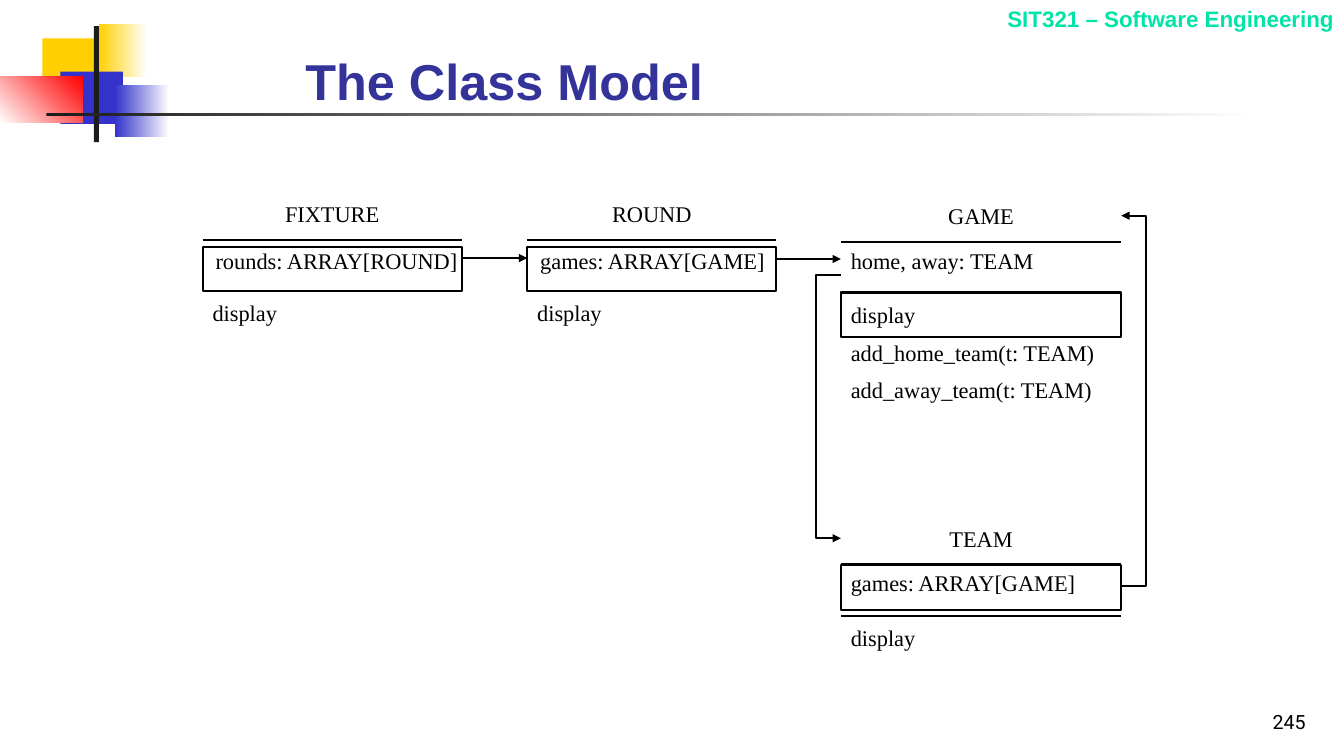
from lxml import etree
from pptx import Presentation
from pptx.dml.color import RGBColor
from pptx.enum.shapes import MSO_CONNECTOR, MSO_SHAPE
from pptx.enum.text import MSO_ANCHOR, MSO_AUTO_SIZE, PP_ALIGN
from pptx.oxml.ns import qn
from pptx.util import Inches, Pt

RECT, STRAIGHT = MSO_SHAPE.RECTANGLE, MSO_CONNECTOR.STRAIGHT
LEFT, CENTER, RIGHT = PP_ALIGN.LEFT, PP_ALIGN.CENTER, PP_ALIGN.RIGHT
TOP, BOTTOM = MSO_ANCHOR.TOP, MSO_ANCHOR.BOTTOM
BLACK = RGBColor(0x00, 0x00, 0x00)
WHITE = RGBColor(0xFF, 0xFF, 0xFF)
YELLOW = RGBColor(0xFF, 0xCF, 0x01)
BLUE = RGBColor(0x33, 0x33, 0xCC)
RED = RGBColor(0xFF, 0x00, 0x00)
DARK = RGBColor(0x1C, 0x1C, 0x1C)
NAVY = RGBColor(0x33, 0x33, 0x99)
GREEN = RGBColor(0x00, 0xE4, 0xA8)

prs = Presentation()
prs.slide_width, prs.slide_height = Inches(13.33), Inches(7.5)
s = prs.slides.add_slide(prs.slide_layouts[5])


def write(sp, text, align=LEFT, anchor=TOP, **font):
    tf = sp.text_frame
    tf.word_wrap, tf.auto_size, tf.vertical_anchor = True, MSO_AUTO_SIZE.NONE, anchor
    p = tf.paragraphs[0]
    p.alignment = align
    r = p.add_run()
    r.text = text
    style = {"name": "Times New Roman", "size": Pt(16), "color": BLACK} | font
    r.font.color.rgb = style.pop("color")
    for key, value in style.items():
        setattr(r.font, key, value)


def outline(sp, arrow=False):
    """Give a shape or line the black diagram stroke, with an optional arrowhead."""
    sp.line.color.rgb = BLACK
    sp.line.width = Pt(1.5)
    spPr = sp._element.spPr
    if arrow:
        etree.SubElement(spPr.find(qn("a:ln")), qn("a:tailEnd"), type="triangle")
    if spPr.find(qn("a:effectLst")) is None:
        etree.SubElement(spPr, qn("a:effectLst"))


# Decoration: box, start colour, end colour (None for solid), gradient angle
decoration = [
    ((0.42, 0.38, 0.64, 0.52), YELLOW, None, 0),
    ((0.98, 0.24, 0.48, 0.52), YELLOW, WHITE, 0),
    ((0.6, 0.71, 0.62, 0.52), BLUE, None, 0),
    ((1.14, 0.84, 0.54, 0.52), BLUE, WHITE, 0),
    ((0, 0.76, 0.82, 0.46), WHITE, RED, 45),
    ((0.93, 0.26, 0.05, 1.15), DARK, None, 0),
    ((0.46, 1.12, 12, 0.03), DARK, WHITE, 0),
]
for box, start, end, angle in decoration:
    sp = s.shapes.add_shape(RECT, *map(Inches, box))
    sp.shadow.inherit = False
    sp.line.fill.background()
    if end is None:
        sp.fill.solid()
        sp.fill.fore_color.rgb = start
    else:
        sp.fill.gradient()
        sp.fill.gradient_angle = angle
        for stop, color, position in zip(sp.fill.gradient_stops, (start, end), (0, 1)):
            stop.color.rgb = color
            stop.position = position

# Title, course name and page number
title = s.shapes.title
title.left, title.top, title.width, title.height = map(Inches, (2.93, 0.55, 8.52, 0.6))
write(title, "The Class Model", anchor=BOTTOM, name="Arial", size=Pt(36), color=NAVY, bold=True)
course = s.shapes.add_textbox(*map(Inches, (8.03, 0, 5.3, 0.37)))
write(course, "SIT321 – Software Engineering", RIGHT, name="Arial", color=GREEN, bold=True)
number = s.shapes.add_textbox(*map(Inches, (10.27, 6.83, 2.78, 0.5)))
write(number, "245", RIGHT, BOTTOM, name="Roboto", size=Pt(14))

# Classes: name, left, top, width, frame offset, attribute, its offset, methods
TEXT_H, FRAME_H = 0.37, 0.44
RULES = 0.44, 0.95
METHODS = 0.98, 1.36, 1.72
classes = [
    ("FIXTURE", 2.01, 1.94, 2.57, 0.51, "rounds: ARRAY[ROUND]", (0.03, 0.46), ["display"]),
    ("ROUND", 5.23, 1.94, 2.47, 0.51, "games: ARRAY[GAME]", (0.03, 0.46), ["display"]),
    ("GAME", 8.34, 1.96, 2.78, 0.94, "home, away: TEAM", (0, 0.44),
     ["display", "add_home_team(t: TEAM)", "add_away_team(t: TEAM)"]),
    ("TEAM", 8.34, 5.16, 2.78, 0.45, "games: ARRAY[GAME]", (0, 0.44), ["display"]),
]
for name, x, y, w, frame, attribute, (dx, dy), methods in classes:
    sp = s.shapes.add_shape(RECT, Inches(x), Inches(y + frame), Inches(w), Inches(FRAME_H))
    sp.fill.background()
    outline(sp)
    for rule in RULES:
        line_y = Inches(y + rule)
        outline(s.shapes.add_connector(STRAIGHT, Inches(x), line_y, Inches(x + w), line_y))
    labels = [(name, 0, 0, w, CENTER), (attribute, dx, dy, w + 0.1, LEFT)]
    labels += [(method, 0, offset, w, LEFT) for method, offset in zip(methods, METHODS)]
    for text, left, top, width, align in labels:
        box = (x + left, y + top, width, TEXT_H)
        write(s.shapes.add_textbox(*map(Inches, box)), text, align)

# Straight references between neighbouring classes
for x1, x2, y in [(4.58, 5.23, 2.56), (7.7, 8.34, 2.57)]:
    ref = s.shapes.add_connector(STRAIGHT, Inches(x1), Inches(y), Inches(x2), Inches(y))
    outline(ref, arrow=True)

# Bent references between GAME and TEAM: edge, bend, start and end heights
for edge, bend, y1, y2 in [(8.34, 8.09, 2.73, 5.34), (11.12, 11.37, 5.81, 2.14)]:
    path = s.shapes.build_freeform(Inches(edge), Inches(y1))
    corners = [(bend, y1), (bend, y2), (edge, y2)]
    path.add_line_segments([(Inches(x), Inches(y)) for x, y in corners], close=False)
    sp = path.convert_to_shape()
    sp.fill.background()
    outline(sp, arrow=True)

prs.save("out.pptx")
